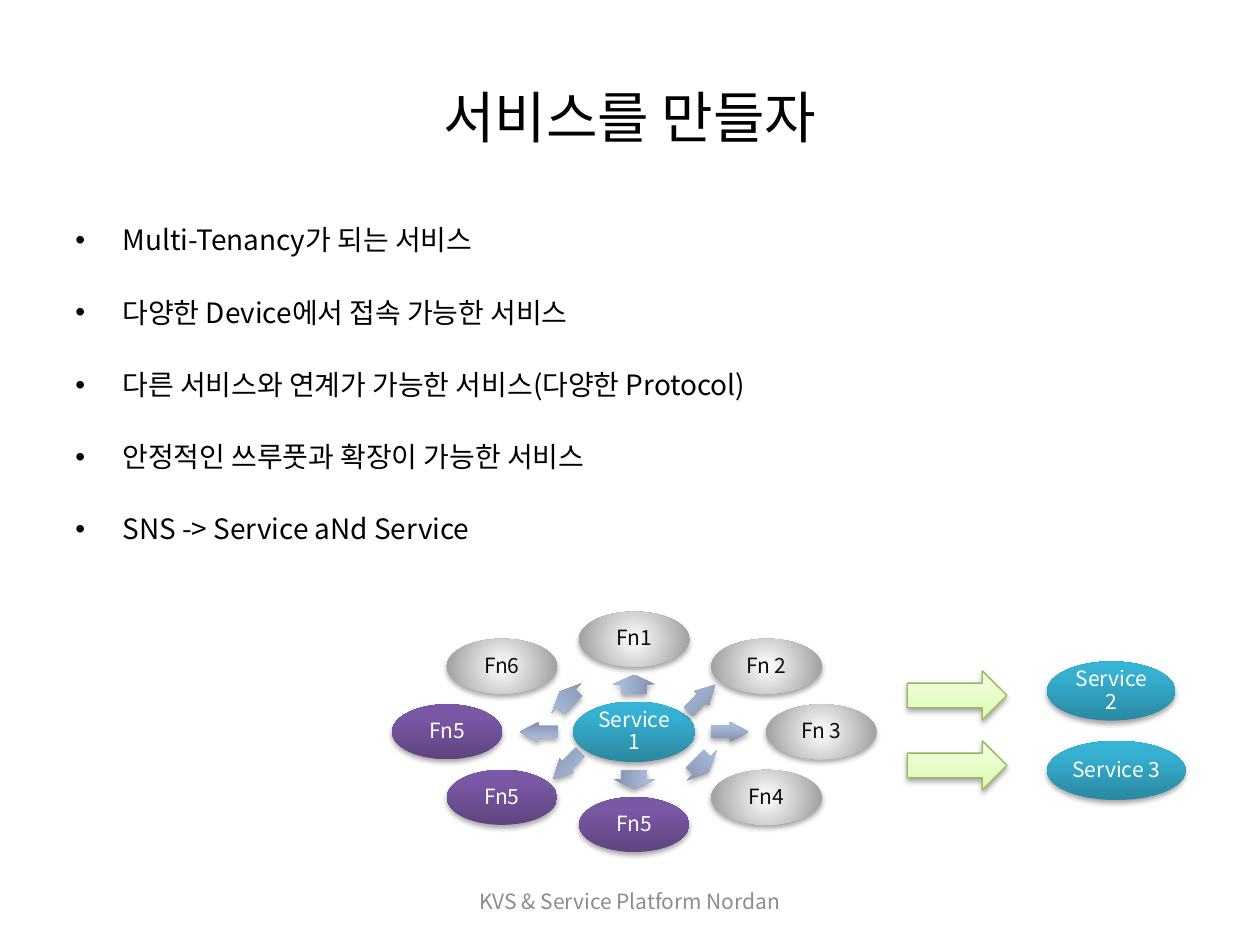
from math import cos, sin, radians

from lxml import etree
from pptx import Presentation
from pptx.dml.color import RGBColor
from pptx.enum.shapes import MSO_SHAPE as SHAPE
from pptx.enum.text import MSO_ANCHOR as ANCHOR, PP_ALIGN as ALIGN
from pptx.oxml import parse_xml
from pptx.oxml.ns import nsdecls, qn
from pptx.util import Pt

FONT = "Noto Sans CJK KR"

# Gradient stops: (percent, colour)
TEAL = [(0, "2A88A2"), (80, "37B1D2"), (100, "34B4D6")]
PURPLE = [(0, "5F4480"), (80, "7B58A6"), (100, "7C57A8")]
BLUE = [(0, "818FA8"), (80, "A8B9DA"), (100, "A7BADC")]
GREEN = [(0, "DAFDA7"), (35, "E4FCC2"), (100, "F5FFE7")]
GRAY = [(0, "FFFFFF"), (100, "979797")]

# Hub and the ellipse on which its functions lie
HUB_X, HUB_Y = 362.4, 418.2
RING_RX, RING_RY = 106.9, 53
ARROW_RX, ARROW_RY = 54.6, 27.2
LONG, SQUAT = (21.6, 11.5), (10.8, 23.8)

# Clockwise from the top: label, fill, arrow size
FUNCTIONS = [
    ("Fn1", GRAY, SQUAT), ("Fn 2", GRAY, LONG),
    ("Fn 3", GRAY, LONG), ("Fn4", GRAY, SQUAT),
    ("Fn5", PURPLE, SQUAT), ("Fn5", PURPLE, LONG),
    ("Fn5", PURPLE, LONG), ("Fn6", GRAY, SQUAT),
]

BULLETS = [
    "Multi-Tenancy가 되는 서비스",
    "다양한 Device에서 접속 가능한 서비스",
    "다른 서비스와 연계가 가능한 서비스(다양한 Protocol)",
    "안정적인 쓰루풋과 확장이 가능한 서비스",
    "SNS -> Service aNd Service",
]


def rgb(value):
    return RGBColor.from_string(value)


def write(p, text, size=12, color="000000", align=ALIGN.CENTER, spacing=None):
    p.alignment = align
    p.line_spacing = spacing
    r = p.add_run()
    r.text = text
    r.font.size = Pt(size)
    r.font.name = FONT
    r.font.color.rgb = rgb(color)
    etree.SubElement(r.font._element, qn("a:ea"), typeface=FONT)


def set_frame(tf, inset_x, inset_y, anchor=ANCHOR.MIDDLE):
    tf.word_wrap = True
    tf.vertical_anchor = anchor
    tf.margin_left = tf.margin_right = Pt(inset_x)
    tf.margin_top = tf.margin_bottom = Pt(inset_y)


def add_text_box(slide, x, y, w, h, anchor=ANCHOR.MIDDLE):
    tf = slide.shapes.add_textbox(Pt(x), Pt(y), Pt(w), Pt(h)).text_frame
    set_frame(tf, 7.2, 3.6, anchor)
    return tf


def add_bullets(tf, items):
    for i, item in enumerate(items):
        p = tf.paragraphs[0] if i == 0 else tf.add_paragraph()
        write(p, item, size=16, align=ALIGN.LEFT, spacing=0.9)
        p.space_before = Pt(24 if i else 0)
        pPr = p._p.get_or_add_pPr()
        pPr.set("marL", str(Pt(27)))
        pPr.set("indent", str(-Pt(27)))
        etree.SubElement(pPr, qn("a:buFont"), typeface="Arial")
        etree.SubElement(pPr, qn("a:buChar"), char="•")


def add_solid(slide, kind, cx, cy, w, h, stops, line=None):
    """Add a centred preset with a gradient and a soft shadow below it."""
    s = slide.shapes.add_shape(kind, Pt(cx - w / 2), Pt(cy - h / 2), Pt(w), Pt(h))
    if line:
        s.line.color.rgb = rgb(line)
        s.line.width = Pt(0.75)
    else:
        s.line.fill.background()
    gs = "".join(f'<a:gs pos="{pos * 1000}"><a:srgbClr val="{c}"/></a:gs>'
                 for pos, c in stops)
    if stops is GRAY:
        direction = ('<a:path path="circle"><a:fillToRect l="50000" t="50000" '
                     'r="50000" b="50000"/></a:path>')
    else:
        direction = '<a:lin ang="16200000" scaled="0"/>'
    spPr = s._element.spPr
    spPr.find(qn("a:prstGeom")).addnext(parse_xml(
        f'<a:gradFill {nsdecls("a")} rotWithShape="1">'
        f'<a:gsLst>{gs}</a:gsLst>{direction}</a:gradFill>'))
    spPr.append(parse_xml(
        f'<a:effectLst {nsdecls("a")}><a:outerShdw blurRad="{Pt(3.1)}" '
        f'dist="{Pt(1.8)}" dir="5400000" rotWithShape="0"><a:srgbClr val="000000">'
        '<a:alpha val="35000"/></a:srgbClr></a:outerShdw></a:effectLst>'))
    return s


def add_bubble(slide, text, cx, cy, w, h, stops):
    s = add_solid(slide, SHAPE.OVAL, cx, cy, w, h, stops)
    set_frame(s.text_frame, 1.44, 1.44)
    write(s.text_frame.paragraphs[0], text, spacing=0.9,
          color="0D0D0D" if stops is GRAY else "FFFFFF")


def add_spoke(slide, cx, cy, size, rotation):
    w, h = size
    s = add_solid(slide, SHAPE.RIGHT_ARROW, cx, cy, w, h, BLUE)
    s.adjustments[0] = 0.6
    s.adjustments[1] = 0.5 * w / min(w, h)
    s.rotation = rotation


def add_hub(slide):
    add_bubble(slide, "Service 1", HUB_X, HUB_Y, 69.8, 34.6, TEAL)
    for i, (label, stops, size) in enumerate(FUNCTIONS):
        angle = (270 + 45 * i) % 360
        dx, dy = cos(radians(angle)), sin(radians(angle))
        add_spoke(slide, HUB_X + ARROW_RX * dx, HUB_Y + ARROW_RY * dy, size, angle)
        add_bubble(slide, label, HUB_X + RING_RX * dx, HUB_Y + RING_RY * dy,
                   63, 31.4, stops)


def main():
    prs = Presentation()
    prs.slide_width, prs.slide_height = Pt(720), Pt(540)
    slide = prs.slides.add_slide(prs.slide_layouts[6])

    # Title, bullets and footer
    add_bullets(add_text_box(slide, 36, 126, 648, 356.4, ANCHOR.TOP), BULLETS)
    title = add_text_box(slide, 36, 21.6, 648, 90)
    write(title.paragraphs[0], "서비스를 만들자", size=32)
    footer = add_text_box(slide, 246, 500.5, 228, 28.8)
    write(footer.paragraphs[0], "KVS & Service Platform Nordan", color="8C8C8C")

    # Linked services
    add_bubble(slide, "Service 3", 637.9, 440.3, 79.2, 33.8, TEAL)
    add_bubble(slide, "Service 2", 635, 394.9, 73.4, 33.8, TEAL)
    for y in (437.4, 397.4):
        add_solid(slide, SHAPE.RIGHT_ARROW, 546.9, y, 56.9, 28.1, GREEN, line="98B955")

    # Service with its functions
    add_hub(slide)
    prs.save("out.pptx")


if __name__ == "__main__":
    main()
